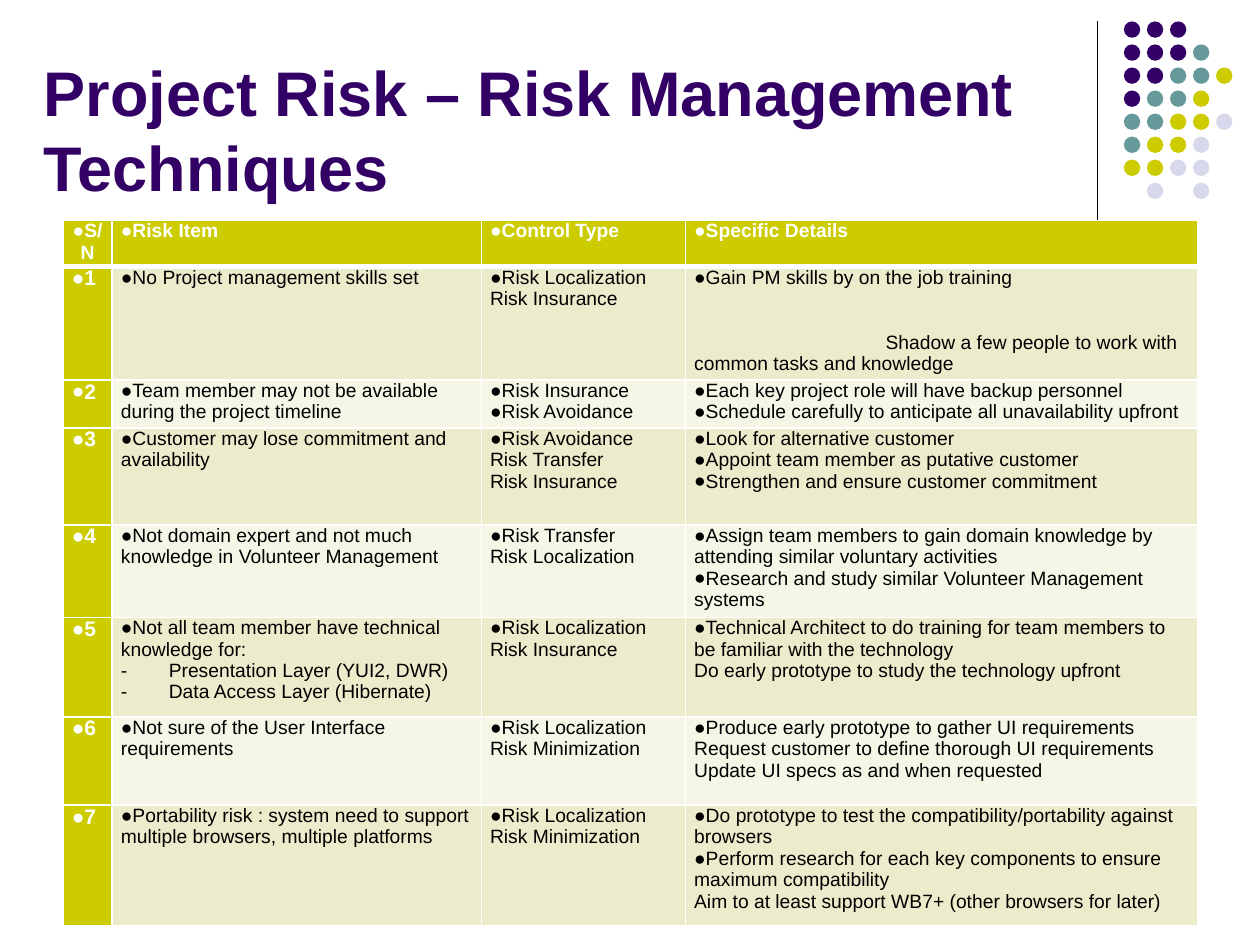
from copy import deepcopy

from lxml.etree import SubElement
from pptx import Presentation
from pptx.dml.color import RGBColor
from pptx.enum.shapes import MSO_CONNECTOR, MSO_SHAPE
from pptx.enum.text import MSO_ANCHOR, PP_ALIGN
from pptx.oxml.ns import qn
from pptx.util import Inches, Pt

PURPLE, TEAL, OLIVE, LILAC = "330066", "669999", "CCCC00", "D8D8EC"
WHITE, BLACK = "FFFFFF", "000000"
BANDS = ("ECECCC", "F6F6E7")
DOT_COLOURS = {"P": PURPLE, "T": TEAL, "O": OLIVE, "L": LILAC}
DOT_ROWS = ["PPP", "PPPT", "PPTTO", "PTTO", "TTOOL", "TOOL", "OOLL", " L L"]
COLUMN_WIDTHS = [0.39, 2.93, 1.62, 4.07]
ROW_HEIGHTS = [0.29, 0.7, 0.38, 0.77, 0.58, 0.79, 0.7, 0.96]
RISKS = [
    ("S/N", "Risk Item", "Control Type", "Specific Details"),
    ("1", "No Project management skills set",
     "Risk Localization\vRisk Insurance",
     "Gain PM skills by on the job training\n"
     "Shadow a few people to work with common tasks and knowledge"),
    ("2", "Team member may not be available during the project timeline",
     "Risk Insurance\nRisk Avoidance",
     "Each key project role will have backup personnel\n"
     "Schedule carefully to anticipate all unavailability upfront"),
    ("3", "Customer may lose commitment and availability",
     "Risk Avoidance\vRisk Transfer\vRisk Insurance",
     "Look for alternative customer\n"
     "Appoint team member as putative customer\n"
     "Strengthen and ensure customer commitment"),
    ("4", "Not domain expert and not much knowledge in Volunteer Management",
     "Risk Transfer\vRisk Localization",
     "Assign team members to gain domain knowledge by attending similar voluntary activities\n"
     "Research and study similar Volunteer Management systems"),
    ("5", "Not all team member have technical knowledge for:\n"
     "Presentation Layer (YUI2, DWR)\nData Access Layer (Hibernate)",
     "Risk Localization\vRisk Insurance",
     "Technical Architect to do training for team members to be familiar with the technology\v"
     "Do early prototype to study the technology upfront"),
    ("6", "Not sure of the User Interface requirements",
     "Risk Localization\vRisk Minimization",
     "Produce early prototype to gather UI requirements\v"
     "Request customer to define thorough UI requirements\v"
     "Update UI specs as and when requested"),
    ("7", "Portability risk : system need to support multiple browsers, multiple platforms",
     "Risk Localization\vRisk Minimization",
     "Do prototype to test the compatibility/portability against browsers\n"
     "Perform research for each key components to ensure maximum compatibility\v"
     "Aim to at least support WB7+ (other browsers for later)"),
]


def colour(value):
    return RGBColor.from_string(value)


class RiskPage:
    """Holds the slide being built and the style of its elements."""

    font_name = "Arial"

    def __init__(self, deck):
        self.page = deck.slides.add_slide(deck.slide_layouts[6])

    def format_text(self, frame, size, ink, bold):
        for para in frame.paragraphs:
            for span in para.runs:
                span.font.name = self.font_name
                span.font.size = Pt(size)
                span.font.bold = bold
                span.font.color.rgb = colour(ink)
            for line_break in para._p.findall(qn("a:br")):
                line_break.append(deepcopy(para.runs[0]._r.rPr))

    def set_bullet(self, para, symbol=None, margin=0, indent=0):
        properties = para._p.get_or_add_pPr()
        for kind in ("a:buNone", "a:buFont", "a:buChar"):
            for old in properties.findall(qn(kind)):
                properties.remove(old)
        properties.set("marL", str(Inches(margin)))
        properties.set("indent", str(Inches(indent)))
        if symbol:
            SubElement(properties, qn("a:buFont"), typeface=self.font_name)
            SubElement(properties, qn("a:buChar"), char=symbol)
        else:
            SubElement(properties, qn("a:buNone"))

    def add_title(self, text, left, top, width, height):
        box = self.page.shapes.add_textbox(
            Inches(left), Inches(top), Inches(width), Inches(height))
        frame = box.text_frame
        frame.word_wrap = True
        frame.vertical_anchor = MSO_ANCHOR.BOTTOM
        frame.text = text
        self.format_text(frame, 36, PURPLE, True)

    def add_rule(self, x, top, bottom):
        rule = self.page.shapes.add_connector(
            MSO_CONNECTOR.STRAIGHT, Inches(x), Inches(top), Inches(x), Inches(bottom))
        rule.line.color.rgb = colour(BLACK)
        rule.line.width = Pt(0.75)
        SubElement(rule._element.spPr, qn("a:effectLst"))

    def add_dot(self, left, top, size, fill):
        dot = self.page.shapes.add_shape(
            MSO_SHAPE.OVAL, Inches(left), Inches(top), Inches(size), Inches(size))
        dot.shadow.inherit = False
        dot.fill.solid()
        dot.fill.fore_color.rgb = colour(fill)
        dot.line.fill.background()

    def add_dots(self, left, top, pitch, size):
        for row, letters in enumerate(DOT_ROWS):
            for column, letter in enumerate(letters):
                if letter in DOT_COLOURS:
                    self.add_dot(left + column * pitch, top + row * pitch,
                                 size, DOT_COLOURS[letter])

    def set_borders(self, cell, top, bottom):
        properties = cell._tc.get_or_add_tcPr()
        for side, width in (("L", 1), ("R", 1), ("T", top), ("B", bottom)):
            line = SubElement(properties, qn("a:ln" + side), w=str(Pt(width)))
            fill = SubElement(line, qn("a:solidFill"))
            SubElement(fill, qn("a:srgbClr"), val=WHITE)

    def fill_cell(self, cell, text, row, column):
        accent = row == 0 or column == 0
        cell.margin_left = cell.margin_right = Inches(0.07)
        cell.margin_top = cell.margin_bottom = 0
        self.set_borders(cell, 3 if row == 1 else 1, 3 if row == 0 else 1)
        cell.fill.solid()
        cell.fill.fore_color.rgb = colour(OLIVE if accent else BANDS[(row - 1) % 2])
        cell.text_frame.text = text
        self.format_text(cell.text_frame, 12 if row and accent else 11,
                         WHITE if accent else BLACK, accent)
        for para in cell.text_frame.paragraphs:
            self.set_bullet(para, "●")

    def add_table(self, left, top):
        table = self.page.shapes.add_table(
            len(RISKS), len(COLUMN_WIDTHS), Inches(left), Inches(top),
            Inches(sum(COLUMN_WIDTHS)), Inches(sum(ROW_HEIGHTS))).table
        for column, width in zip(table.columns, COLUMN_WIDTHS):
            column.width = Inches(width)
        for row, height in zip(table.rows, ROW_HEIGHTS):
            row.height = Inches(height)
        for row, texts in enumerate(RISKS):
            for column, text in enumerate(texts):
                self.fill_cell(table.cell(row, column), text, row, column)
        return table


def main():
    deck = Presentation()
    deck.slide_width, deck.slide_height = Inches(10), Inches(7.5)
    page = RiskPage(deck)
    page.add_rule(8.71, 0.17, 1.83)
    page.add_dots(8.92, 0.17, 1.28 / 7, 0.13)
    page.add_title("Project Risk – Risk Management Techniques", 0.25, 0.25, 8.42, 1.42)
    table = page.add_table(0.5, 1.75)
    table.cell(0, 0).text_frame.paragraphs[0].alignment = PP_ALIGN.CENTER
    for layer in table.cell(5, 1).text_frame.paragraphs[1:]:
        page.set_bullet(layer, "-", 0.38, -0.38)
        layer.line_spacing = Pt(12)
    shadowing = table.cell(1, 3).text_frame.paragraphs[1]
    page.set_bullet(shadowing, indent=1.52)
    shadowing.space_before = Pt(25)
    deck.save("out.pptx")


if __name__ == "__main__":
    main()
